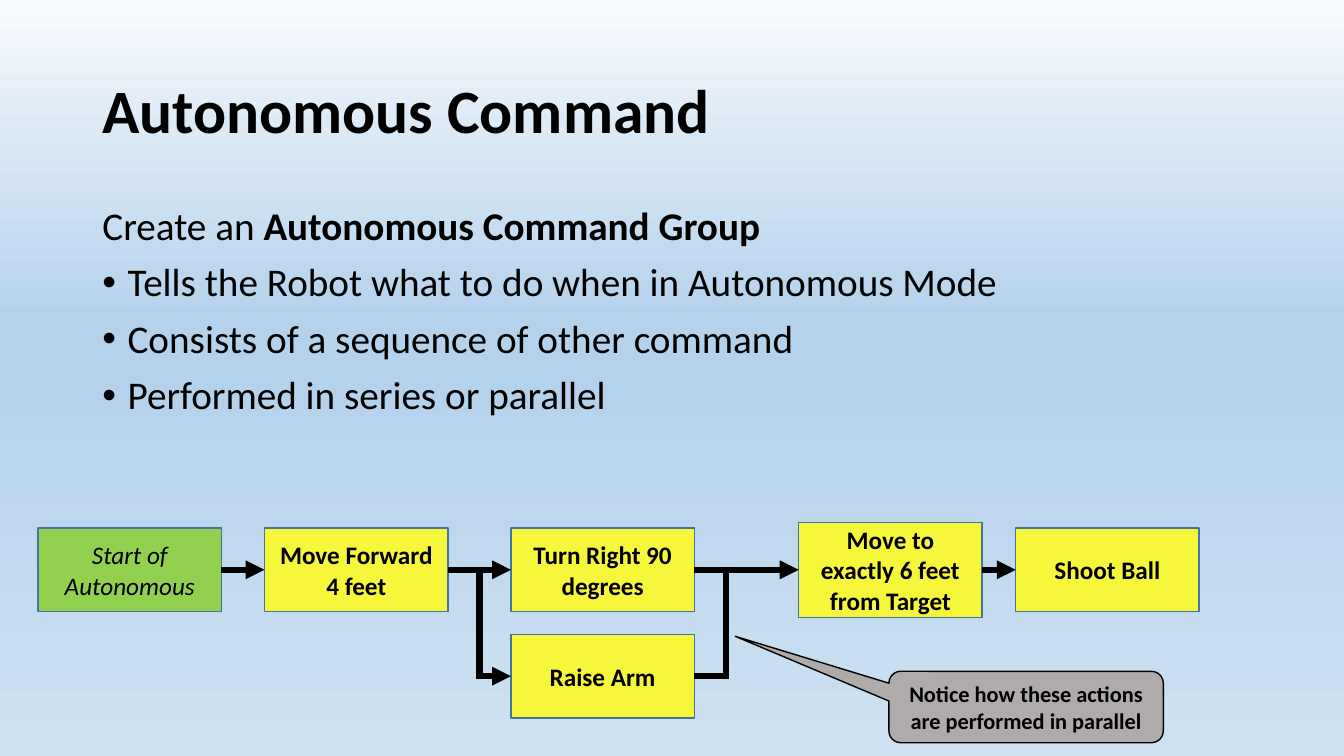
"""Builds a slide that explains the autonomous command group as a flow of robot actions."""
from dataclasses import dataclass

from lxml import etree
from pptx import Presentation
from pptx.dml.color import RGBColor
from pptx.enum.shapes import MSO_CONNECTOR, MSO_SHAPE
from pptx.enum.text import MSO_ANCHOR, MSO_AUTO_SIZE, PP_ALIGN
from pptx.oxml.ns import qn
from pptx.util import Pt

RECTANGLE = MSO_SHAPE.RECTANGLE
CALLOUT = MSO_SHAPE.ROUNDED_RECTANGULAR_CALLOUT
STRAIGHT = MSO_CONNECTOR.STRAIGHT
LEFT, CENTER = PP_ALIGN.LEFT, PP_ALIGN.CENTER
TOP, MIDDLE = MSO_ANCHOR.TOP, MSO_ANCHOR.MIDDLE
NO_AUTOFIT = MSO_AUTO_SIZE.NONE


@dataclass(frozen=True)
class Theme:
    """Colours, font and type sizes of the slide."""
    font: str = "Calibri"
    ink: str = "000000"
    start: str = "92D050"
    action: str = "F6F63A"
    note: str = "AFABAB"
    outline: str = "43739E"
    sky: tuple = ((0, "F7FAFD"), (42, "B5D2EC"), (50, "B5D2EC"), (100, "CEE1F2"))
    title_size: int = 44
    body_size: int = 28
    box_size: int = 18
    note_size: int = 16
    flow_weight: float = 4.5


class Page:
    """Draws styled elements on one slide, with lengths in points."""

    def __init__(self, slide, theme):
        self.slide = slide
        self.theme = theme

    def background(self):
        """Fill the slide with the vertical gradient."""
        fill = self.slide.background.fill
        fill.gradient()
        fill.gradient_angle = 270
        stops = next(self.slide.element.iter(qn("a:gsLst")))
        for stop in list(stops):
            stops.remove(stop)
        for percent, color in self.theme.sky:
            stop = etree.SubElement(stops, qn("a:gs"), pos=str(percent * 1000))
            etree.SubElement(stop, qn("a:srgbClr"), val=color)

    def style(self, para, size, align, bold=None, italic=None):
        """Set the alignment and font of a paragraph."""
        para.alignment = align
        font = para.font
        font.name, font.size = self.theme.font, Pt(size)
        font.bold, font.italic = bold, italic
        font.color.rgb = RGBColor.from_string(self.theme.ink)

    def place(self, holder, left, top, width, height, anchor):
        """Move a placeholder and return its text frame."""
        holder.left, holder.top = Pt(left), Pt(top)
        holder.width, holder.height = Pt(width), Pt(height)
        frame = holder.text_frame
        frame.word_wrap, frame.auto_size = True, NO_AUTOFIT
        frame.vertical_anchor = anchor
        return frame

    def title(self, text, *area):
        """Write the slide title."""
        frame = self.place(self.slide.shapes.title, *area, MIDDLE)
        frame.text = text
        para = frame.paragraphs[0]
        para.line_spacing = 0.9
        self.style(para, self.theme.title_size, LEFT, bold=True)

    def body(self, lead, strong, items, *area):
        """Write a lead line with a strong ending, then a bulleted list."""
        frame = self.place(self.slide.placeholders[1], *area, TOP)
        frame.text = "\n".join(["", *items])
        for index, para in enumerate(frame.paragraphs):
            indent = Pt(18) if index else 0
            props = para._p.get_or_add_pPr()
            props.set("marL", str(indent))
            props.set("indent", str(-indent))
            para.line_spacing = 0.9
            para.space_before = Pt(10 if index else 0)
            if index:
                etree.SubElement(props, qn("a:buChar"), char="•")
            else:
                etree.SubElement(props, qn("a:buNone"))
            self.style(para, self.theme.body_size, LEFT)
        first = frame.paragraphs[0]
        for text, bold in ((lead, False), (strong, True)):
            span = first.add_run()
            span.text, span.font.bold = text, bold

    def box(self, text, left, top, width, height, fill, kind=RECTANGLE,
            outline=None, size=None, italic=False):
        """Add a filled shape with centred text."""
        box = self.slide.shapes.add_shape(kind, Pt(left), Pt(top), Pt(width), Pt(height))
        box.shadow.inherit = False
        box.fill.solid()
        box.fill.fore_color.rgb = RGBColor.from_string(fill)
        box.line.color.rgb = RGBColor.from_string(outline or self.theme.outline)
        box.line.width = Pt(1)
        frame = box.text_frame
        frame.word_wrap, frame.vertical_anchor = True, MIDDLE
        frame.text = text
        for para in frame.paragraphs:
            self.style(para, size or self.theme.box_size, CENTER, not italic, italic)
        return box

    def callout(self, text, left, top, width, height, tip):
        """Add a rounded note whose tail ends at the relative tip."""
        note = self.box(text, left, top, width, height, self.theme.note, CALLOUT,
                        self.theme.ink, self.theme.note_size)
        note.adjustments[0], note.adjustments[1] = tip

    def line(self, x1, y1, x2, y2, arrow=False):
        """Add a thick flow line, with an arrowhead at its end if wanted."""
        line = self.slide.shapes.add_connector(STRAIGHT, Pt(x1), Pt(y1), Pt(x2), Pt(y2))
        line.line.color.rgb = RGBColor.from_string(self.theme.ink)
        line.line.width = Pt(self.theme.flow_weight)
        if arrow:
            etree.SubElement(line.line._get_or_add_ln(), qn("a:tailEnd"), type="triangle")
        etree.SubElement(line._element.spPr, qn("a:effectLst"))


def main():
    """Build and save the deck."""
    deck = Presentation()
    deck.slide_width, deck.slide_height = Pt(960), Pt(540)
    theme = Theme()
    page = Page(deck.slides.add_slide(deck.slide_layouts[1]), theme)
    page.background()
    page.title("Autonomous Command", 66, 28.8, 828, 104.4)
    page.body("Create an ", "Autonomous Command Group",
              ["Tells the Robot what to do when in Autonomous Mode",
               "Consists of a sequence of other command",
               "Performed in series or parallel"],
              66, 144, 828, 169)

    width, height, tall = 131, 60, 68
    series, parallel = 407, 483
    steps = [
        ("Start of Autonomous", 27.2, series, height),
        ("Move Forward\n4 feet", 189, series, height),
        ("Turn Right 90 degrees", 365, series, height),
        ("Raise Arm", 365, parallel, height),
        ("Move to exactly 6 feet from Target", 570.5, series, tall),
        ("Shoot Ball", 725.5, series, height),
    ]
    for index, (text, left, middle, size) in enumerate(steps):
        page.box(text, left, middle - size / 2, width, size,
                 theme.action if index else theme.start, italic=index == 0)

    columns = [left for _, left, middle, _ in steps if middle == series]
    for before, after in zip(columns, columns[1:]):
        page.line(before + width, series, after, series, arrow=True)

    turn = columns[2]
    fork, join = turn - 22.5, turn + width + 22.5
    overlap = theme.flow_weight / 2
    page.line(fork, parallel, turn, parallel, arrow=True)
    page.line(turn + width, parallel, join + overlap, parallel)
    for x in (fork, join):
        page.line(x, series, x, parallel + overlap)

    page.callout("Notice how these actions are performed in parallel",
                 635, 479.5, 196, 51, (-1.06, -0.99))
    deck.save("out.pptx")


if __name__ == "__main__":
    main()
